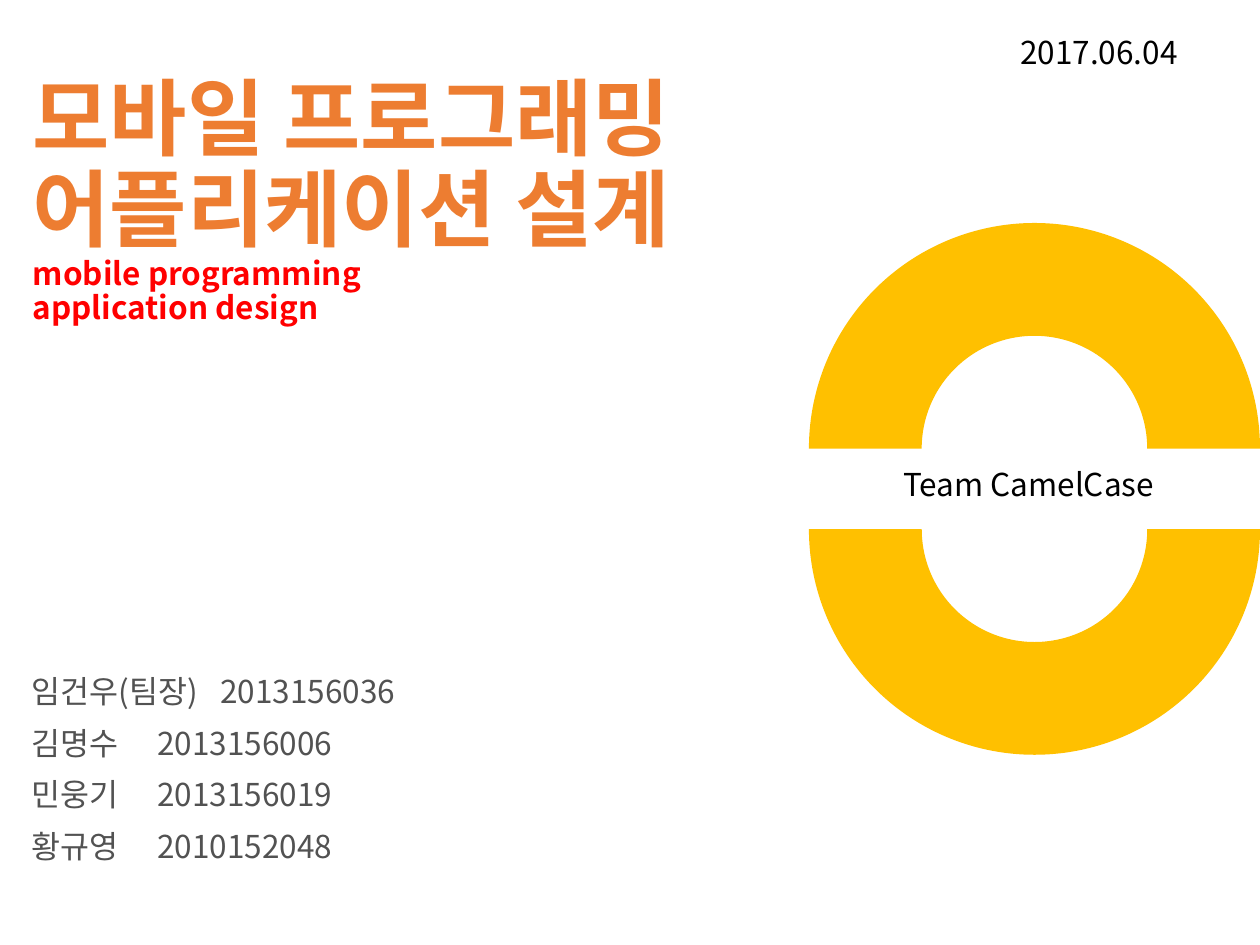
"""Builds the cover slide of a mobile application design presentation."""
from dataclasses import dataclass

from lxml import etree
from pptx import Presentation
from pptx.dml.color import RGBColor
from pptx.enum.shapes import MSO_SHAPE
from pptx.enum.text import MSO_ANCHOR, MSO_AUTO_SIZE, PP_ALIGN
from pptx.oxml.ns import qn
from pptx.util import Inches, Pt

FONT = "Noto Sans CJK KR"
ORANGE = RGBColor(0xED, 0x7D, 0x31)
RED = RGBColor(0xFF, 0x00, 0x00)
GRAY = RGBColor(0x52, 0x52, 0x52)
GOLD = RGBColor(0xFF, 0xC0, 0x00)
BLACK = RGBColor(0x00, 0x00, 0x00)
ARC_SIZE = 3.58


@dataclass
class TitleLine:
    text: str
    size: int
    color: RGBColor


@dataclass
class Member:
    name: str
    number: str
    tab: float


@dataclass
class Arc:
    top: float
    rotation: int


@dataclass
class Label:
    text: str
    left: float
    top: float
    width: float


TITLE = [
    TitleLine("모바일 프로그래밍", 48, ORANGE),
    TitleLine("어플리케이션 설계", 48, ORANGE),
    TitleLine("mobile programming", 18, RED),
    TitleLine("application design", 18, RED),
]
MEMBERS = [
    Member("임건우(팀장)", "2013156036", 1.77),
    Member("김명수", "2013156006", 1.52),
    Member("민웅기", "2013156019", 1.52),
    Member("황규영", "2010152048", 1.52),
]
ARCS = [Arc(1.77, 0), Arc(2.41, 180)]
LABELS = [
    Label("Team CamelCase", 7.07, 3.64, 2.6),
    Label("2017.06.04", 8, 0.21, 1.8),
]


def place(shape, left: float, top: float, width: float, height: float) -> None:
    """Moves and sizes a shape in inches."""
    shape.left, shape.top = Inches(left), Inches(top)
    shape.width, shape.height = Inches(width), Inches(height)


def add_text(paragraph, text: str, size: int, color: RGBColor, bold: bool = False) -> None:
    """Adds one formatted run with Latin and East Asian fonts."""
    run = paragraph.add_run()
    run.text = text
    run.font.name, run.font.size, run.font.bold = FONT, Pt(size), bold
    run.font.color.rgb = color
    etree.SubElement(run.font._element, qn("a:ea"), typeface=FONT)


def add_tab(paragraph, position: float) -> None:
    """Sets a left tab stop."""
    tabs = etree.SubElement(paragraph._p.get_or_add_pPr(), qn("a:tabLst"))
    etree.SubElement(tabs, qn("a:tab"), pos=str(Inches(position)), algn="l")


def fill_title(shape) -> None:
    """Writes the title lines into the title placeholder."""
    place(shape, 0.16, 1.31, 9.69, 1.33)
    frame = shape.text_frame
    frame.auto_size = MSO_AUTO_SIZE.NONE
    frame.vertical_anchor = MSO_ANCHOR.BOTTOM
    paragraph = frame.paragraphs[0]
    paragraph.alignment = PP_ALIGN.LEFT
    paragraph.line_spacing = 0.9
    for index, line in enumerate(TITLE):
        if index:
            paragraph.add_line_break()
        add_text(paragraph, line.text, line.size, line.color, True)


def fill_members(shape) -> None:
    """Writes the team list into the subtitle placeholder."""
    place(shape, 0.15, 5.32, 4.43, 1.8)
    frame = shape.text_frame
    frame.auto_size = MSO_AUTO_SIZE.NONE
    frame.vertical_anchor = MSO_ANCHOR.TOP
    for index, member in enumerate(MEMBERS):
        paragraph = frame.add_paragraph() if index else frame.paragraphs[0]
        paragraph.alignment = PP_ALIGN.JUSTIFY
        paragraph.line_spacing = 0.9
        paragraph.space_before = Pt(10)
        add_tab(paragraph, member.tab)
        add_text(paragraph, f"{member.name}\t{member.number}", 18, GRAY)


def add_arc(slide, arc: Arc) -> None:
    """Draws one half of the ring."""
    shape = slide.shapes.add_shape(
        MSO_SHAPE.BLOCK_ARC, Inches(10 - ARC_SIZE), Inches(arc.top),
        Inches(ARC_SIZE), Inches(ARC_SIZE))
    shape.rotation = arc.rotation
    shape.shadow.inherit = False
    shape.fill.solid()
    shape.fill.fore_color.rgb = GOLD
    shape.line.fill.background()


def add_label(slide, label: Label) -> None:
    """Adds a one-line text box."""
    box = slide.shapes.add_textbox(
        Inches(label.left), Inches(label.top), Inches(label.width), Inches(0.4))
    box.text_frame.word_wrap = True
    add_text(box.text_frame.paragraphs[0], label.text, 18, BLACK)


def main() -> None:
    """Builds and saves the slide."""
    deck = Presentation()
    deck.slide_width, deck.slide_height = Inches(10), Inches(7.5)
    slide = deck.slides.add_slide(deck.slide_layouts[0])
    fill_title(slide.shapes.title)
    fill_members(slide.placeholders[1])
    for arc in ARCS:
        add_arc(slide, arc)
    for label in LABELS:
        add_label(slide, label)
    deck.save("out.pptx")


main()
